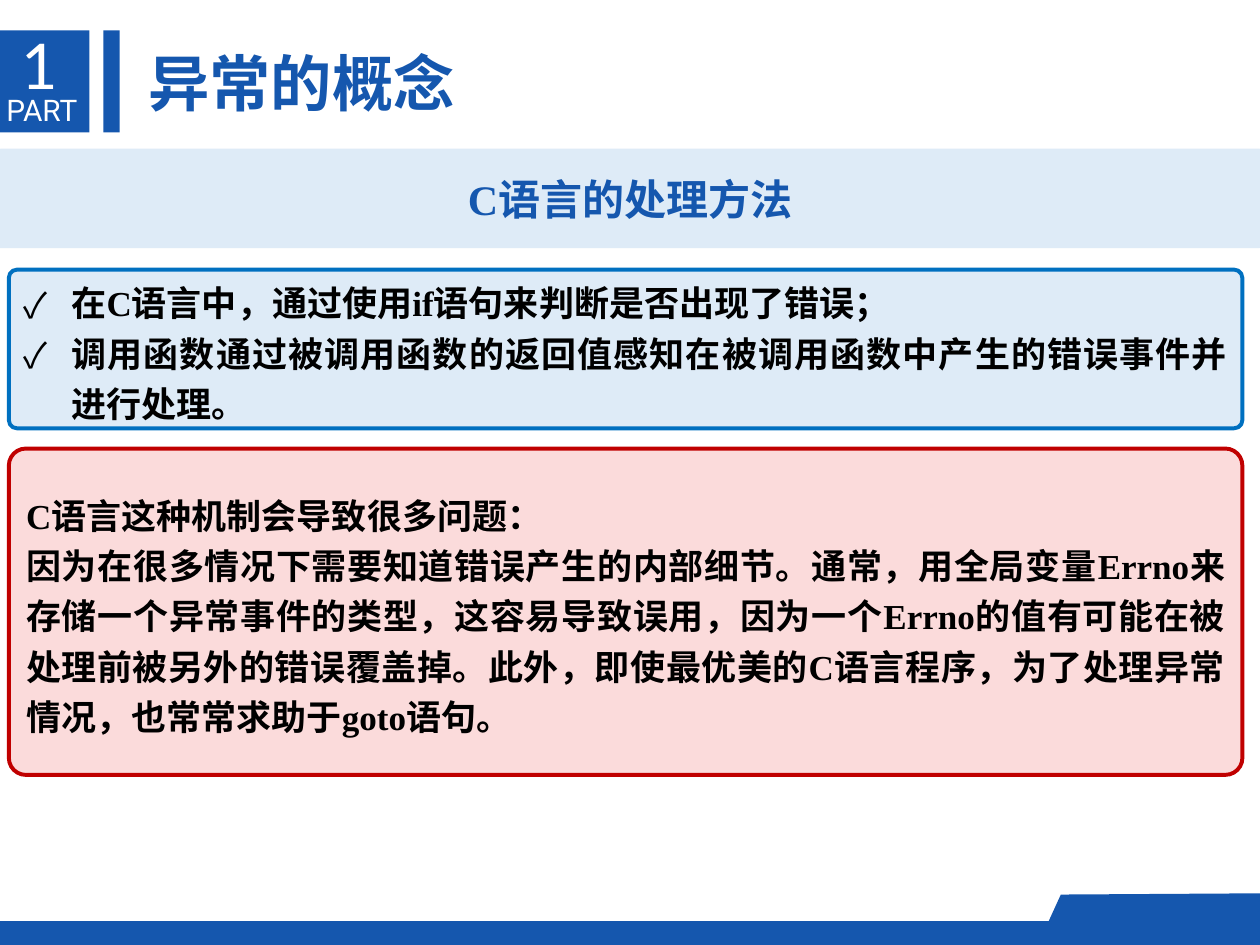
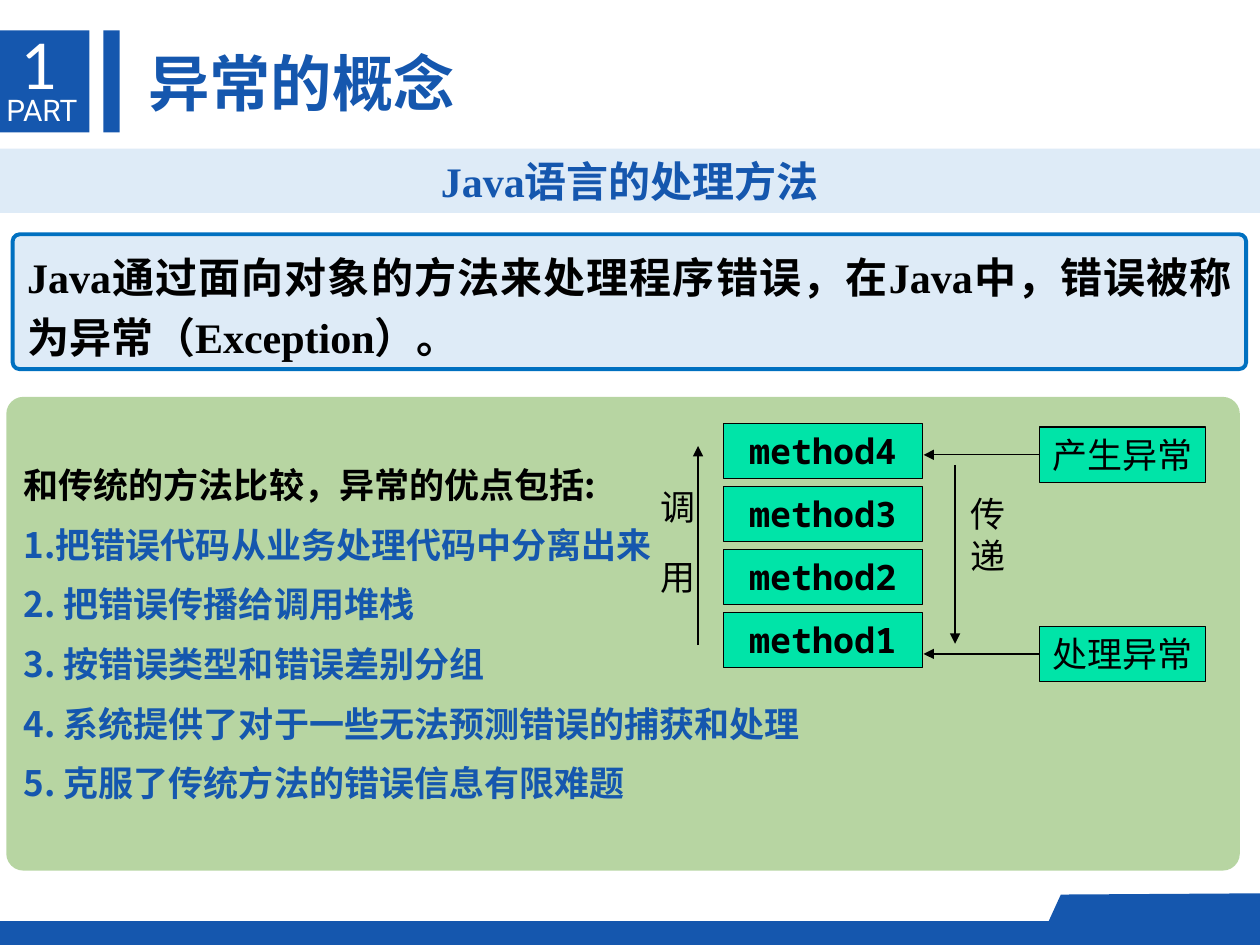
"""Build two slides on how C and Java deal with errors."""
from dataclasses import dataclass
from typing import Optional

from lxml.etree import SubElement
from pptx import Presentation
from pptx.dml.color import RGBColor
from pptx.enum.shapes import MSO_CONNECTOR as CONN, MSO_SHAPE as SHAPE
from pptx.enum.text import MSO_ANCHOR as ANCHOR, MSO_AUTO_SIZE as AUTO, PP_ALIGN as ALIGN
from pptx.oxml.ns import qn
from pptx.util import Inches, Pt

BLUE = RGBColor(0x15, 0x57, 0xAE)
PALE_BLUE = RGBColor(0xDE, 0xEB, 0xF7)
EDGE_BLUE = RGBColor(0x00, 0x70, 0xC0)
PINK = RGBColor(0xFB, 0xDB, 0xDB)
RED = RGBColor(0xC0, 0x00, 0x00)
GREEN = RGBColor(0x70, 0xAD, 0x47)
MINT = RGBColor(0x00, 0xE4, 0xA8)
BLACK = RGBColor(0x00, 0x00, 0x00)
WHITE = RGBColor(0xFF, 0xFF, 0xFF)

SERIF = "Times New Roman"
CJK = "Noto Sans CJK SC"
MONO = "Noto Sans Mono"


@dataclass(frozen=True)
class Box:
    """Position and size in inches."""
    left: float
    top: float
    width: float
    height: float

    def emu(self) -> tuple:
        """Return the four lengths for python-pptx."""
        return tuple(Inches(v) for v in (self.left, self.top, self.width, self.height))


@dataclass(frozen=True)
class Panel:
    """A rounded text panel."""
    box: Box
    fill: RGBColor
    line: Optional[RGBColor] = None
    radius: float = 0.052
    opacity: int = 100


@dataclass(frozen=True)
class Arrow:
    """A thin arrow between two points in inches."""
    x1: float
    y1: float
    x2: float
    y2: float


BARS = (Box(0, 0.24, 0.71, 0.81), Box(0.82, 0.24, 0.13, 0.81), Box(0, 7.31, 10, 0.19))
FOOTER_TAB = ((10, 7.45), (10, 7.09), (8.42, 7.1), (8.26, 7.45))


def write(sp, text: str, *, size: float, font: str, color: RGBColor = BLACK,
          lead_color: Optional[RGBColor] = None, bold: bool = False,
          align=ALIGN.LEFT, anchor=ANCHOR.TOP, wrap: bool = True,
          spacing: Optional[float] = None, before: float = 0,
          bullet: str = "", inset: Optional[float] = None) -> None:
    """Fill a shape with one paragraph per line of text."""
    tf = sp.text_frame
    tf.word_wrap, tf.auto_size, tf.vertical_anchor = wrap, AUTO.NONE, anchor
    if inset is not None:
        tf.margin_left = tf.margin_right = tf.margin_top = tf.margin_bottom = Inches(inset)
    for i, line in enumerate(text.split("\n")):
        p = tf.add_paragraph() if i else tf.paragraphs[0]
        p.alignment, p.line_spacing = align, spacing
        p.space_before = Pt(before)
        if bullet:
            pPr = p._p.get_or_add_pPr()
            pPr.set("marL", str(Inches(0.38)))
            pPr.set("indent", str(-Inches(0.38)))
            SubElement(pPr, qn("a:buFont")).set("typeface", CJK)
            SubElement(pPr, qn("a:buChar")).set("char", bullet)
        r = p.add_run()
        r.text = line
        r.font.size, r.font.name, r.font.bold = Pt(size), font, bold
        r.font.color.rgb = lead_color if lead_color is not None and i == 0 else color
        SubElement(r._r.get_or_add_rPr(), qn("a:ea")).set("typeface", CJK)


def paint(sp, fill: RGBColor, line: Optional[RGBColor] = None, width: float = 0.75) -> None:
    """Set fill and outline and drop the shadow."""
    sp.shadow.inherit = False
    sp.fill.solid()
    sp.fill.fore_color.rgb = fill
    if line is None:
        sp.line.fill.background()
    else:
        sp.line.color.rgb = line
        sp.line.width = Pt(width)


def add_rect(s, box: Box, fill: RGBColor, line: Optional[RGBColor] = None):
    """Add a plain rectangle."""
    sp = s.shapes.add_shape(SHAPE.RECTANGLE, *box.emu())
    paint(sp, fill, line)
    return sp


def add_panel(s, panel: Panel, text: str, **fmt) -> None:
    """Add a rounded panel with vertically centred text."""
    sp = s.shapes.add_shape(SHAPE.ROUNDED_RECTANGLE, *panel.box.emu())
    sp.adjustments[0] = panel.radius
    paint(sp, panel.fill, panel.line, 2.25)
    if panel.opacity < 100:
        clr = sp._element.spPr.find(qn("a:solidFill")).find(qn("a:srgbClr"))
        SubElement(clr, qn("a:alpha")).set("val", str(panel.opacity * 1000))
    write(sp, text, anchor=ANCHOR.MIDDLE, **fmt)


def add_text(s, box: Box, text: str, **fmt) -> None:
    """Add a text box."""
    write(s.shapes.add_textbox(*box.emu()), text, **fmt)


def add_arrow(s, arrow: Arrow, source=None) -> None:
    """Add an arrow, joined to the left side of its source if given."""
    ends = (Inches(v) for v in (arrow.x1, arrow.y1, arrow.x2, arrow.y2))
    c = s.shapes.add_connector(CONN.STRAIGHT, *ends)
    if source is not None:
        c.begin_connect(source, 1)
    c.line.color.rgb = BLACK
    c.line.width = Pt(0.75)
    SubElement(c.line._get_or_add_ln(), qn("a:tailEnd")).set("type", "triangle")
    SubElement(c._element.spPr, qn("a:effectLst"))


def add_base(prs, heading: str, band_height: float):
    """Add a slide with the shared bars, title and heading band."""
    s = prs.slides.add_slide(prs.slide_layouts[6])
    for bar in BARS:
        add_rect(s, bar, BLUE)
    start, *rest = [(Inches(x), Inches(y)) for x, y in FOOTER_TAB]
    builder = s.shapes.build_freeform(*start)
    builder.add_line_segments(rest, close=True)
    paint(builder.convert_to_shape(), BLUE)
    add_text(s, Box(0.05, 0.73, 0.6, 0.29), "PART", size=17, font="Roboto",
             color=WHITE, wrap=False, inset=0)
    add_text(s, Box(0.07, 0.16, 0.53, 0.71), "1", size=36, font="Lato",
             color=WHITE, wrap=False)
    add_text(s, Box(1.08, 0.31, 2.66, 0.69), "异常的概念", size=35, font=CJK,
             color=BLUE, bold=True, wrap=False)
    add_panel(s, Panel(Box(0, 1.18, 10, band_height), PALE_BLUE, radius=0.006), heading,
              size=24, font=SERIF, color=BLUE, bold=True, align=ALIGN.CENTER)
    return s


def add_call_diagram(s) -> None:
    """Draw the method stack with its call and propagation arrows."""
    for i in range(4):
        sp = add_rect(s, Box(5.74, 4.86 - 0.5 * i, 1.58, 0.44), MINT, BLACK)
        write(sp, f"method{i + 1}", size=20, font=MONO, bold=True, align=ALIGN.CENTER)
    for label, top in (("产生异常", 3.39), ("处理异常", 4.97)):
        sp = add_rect(s, Box(8.25, top, 1.32, 0.44), MINT, BLACK)
        write(sp, label, size=20, font=MONO, align=ALIGN.CENTER, wrap=False)
        add_arrow(s, Arrow(8.25, top + 0.22, 7.33, top + 0.22), sp)
    add_arrow(s, Arrow(7.58, 3.69, 7.58, 5.11))
    add_arrow(s, Arrow(5.54, 5.12, 5.54, 3.54))
    add_text(s, Box(7.58, 3.86, 0.52, 0.77), "传 递", size=20, font=MONO,
             align=ALIGN.CENTER)
    add_text(s, Box(5.11, 3.66, 0.54, 1.28), "调\n用", size=20, font=MONO,
             align=ALIGN.CENTER, anchor=ANCHOR.MIDDLE, before=16)


def add_c_slide(prs) -> None:
    """Add the slide on error handling in C."""
    s = add_base(prs, "C语言的处理方法", 0.79)
    body = dict(size=20, font=SERIF, bold=True, align=ALIGN.JUSTIFY, spacing=1.2)
    add_panel(s, Panel(Box(0.07, 2.14, 9.79, 1.26), PALE_BLUE, EDGE_BLUE),
              "在C语言中，通过使用if语句来判断是否出现了错误；\n"
              "调用函数通过被调用函数的返回值感知在被调用函数中产生的错误事件并进行处理。",
              bullet="✓", **body)
    add_panel(s, Panel(Box(0.07, 3.56, 9.79, 2.59), PINK, RED),
              "C语言这种机制会导致很多问题：\n"
              "因为在很多情况下需要知道错误产生的内部细节。通常，用全局变量Errno来"
              "存储一个异常事件的类型，这容易导致误用，因为一个Errno的值有可能在被"
              "处理前被另外的错误覆盖掉。此外，即使最优美的C语言程序，为了处理异"
              "常情况，也常常求助于goto语句。", **body)


def add_java_slide(prs) -> None:
    """Add the slide on exceptions in Java."""
    s = add_base(prs, "Java语言的处理方法", 0.51)
    add_panel(s, Panel(Box(0.1, 1.86, 9.79, 1.07), PALE_BLUE, EDGE_BLUE),
              "Java通过面向对象的方法来处理程序错误，在Java中，错误被称为异常（Exception）。",
              size=24, font=SERIF, bold=True, align=ALIGN.JUSTIFY, spacing=1.2)
    add_panel(s, Panel(Box(0.05, 3.15, 9.79, 3.76), GREEN, radius=0.036, opacity=50),
              "和传统的方法比较，异常的优点包括:\n"
              "1.把错误代码从业务处理代码中分离出来\n"
              "2. 把错误传播给调用堆栈\n"
              "3. 按错误类型和错误差别分组\n"
              "4. 系统提供了对于一些无法预测错误的捕获和处理\n"
              "5. 克服了传统方法的错误信息有限难题",
              size=20, font=CJK, color=BLUE, lead_color=BLACK, bold=True, before=10)
    add_call_diagram(s)


def main() -> None:
    """Build and save the presentation."""
    prs = Presentation()
    prs.slide_width, prs.slide_height = Inches(10), Inches(7.5)
    add_c_slide(prs)
    add_java_slide(prs)
    prs.save("out.pptx")


if __name__ == "__main__":
    main()
